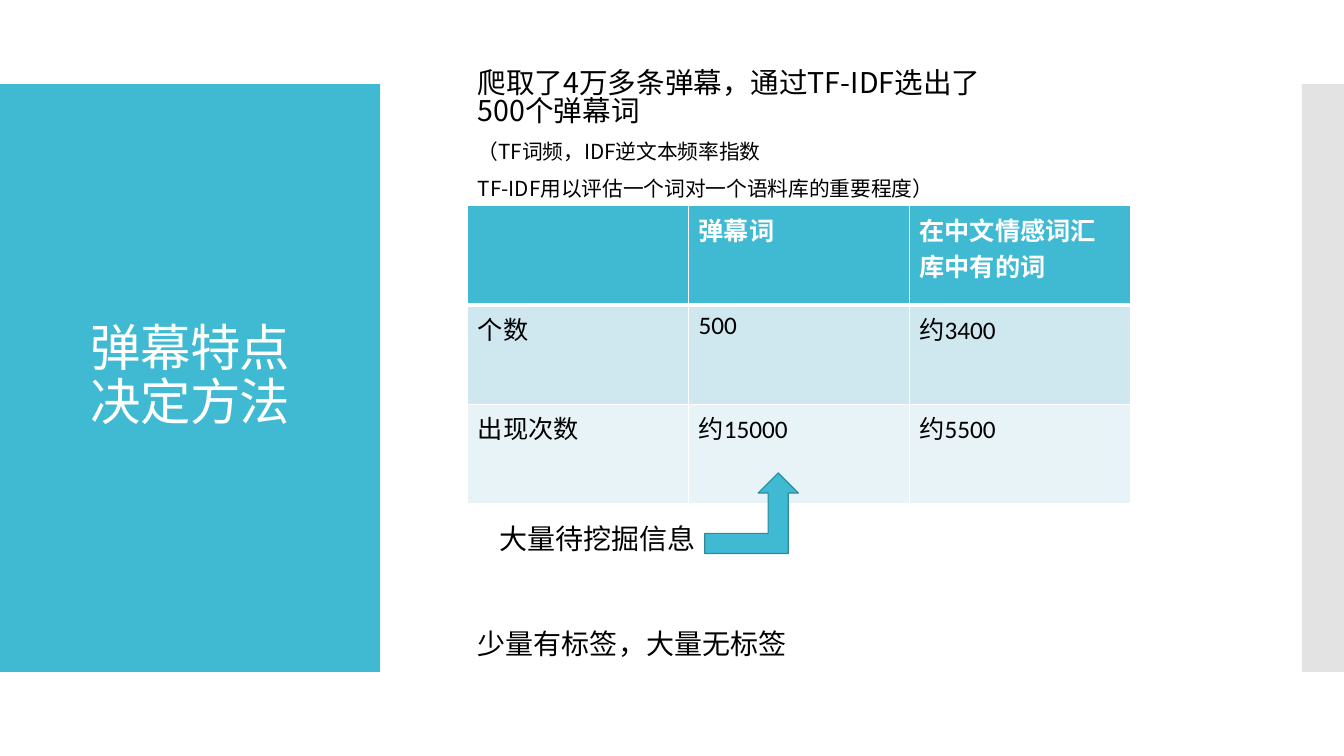
from dataclasses import dataclass

from lxml.etree import SubElement
from pptx import Presentation
from pptx.dml.color import RGBColor
from pptx.enum.shapes import MSO_SHAPE as Preset
from pptx.enum.text import MSO_ANCHOR as Anchor, PP_ALIGN as Align
from pptx.oxml.ns import qn
from pptx.util import Emu, Inches, Pt

WIDTH, HEIGHT = Inches(13.33), Inches(7.5)
COLUMNS, ROWS = 32, 18
CONTENT_LEFT = 11.14
BODY_WIDTH, BODY_HEIGHT = 12.65, 3.5

TEAL = RGBColor(0x40, 0xBA, 0xD2)
DARK_TEAL = RGBColor(0x2F, 0x8A, 0x9B)
PALE_TEAL = RGBColor(0xCF, 0xE7, 0xEE)
FAINT_TEAL = RGBColor(0xE8, 0xF3, 0xF7)
SILVER = RGBColor(0xC8, 0xC8, 0xC8)
WHITE = RGBColor(0xFF, 0xFF, 0xFF)
BLACK = RGBColor(0, 0, 0)
LATIN, HAN = "Calibri", "Noto Sans CJK SC"


@dataclass(frozen=True)
class Area:
    column: float
    row: float
    columns: float
    rows: float

    def box(self) -> tuple[Emu, Emu, Emu, Emu]:
        across, down = WIDTH / COLUMNS, HEIGHT / ROWS
        return (Emu(round(self.column * across)), Emu(round(self.row * down)),
                Emu(round(self.columns * across)), Emu(round(self.rows * down)))


@dataclass(frozen=True)
class Figure:
    area: Area
    preset: Preset
    fill: RGBColor
    outline: RGBColor | None = None
    opacity: int = 100


@dataclass(frozen=True)
class Line:
    text: str
    size: float
    font: str = HAN
    color: RGBColor = BLACK
    bold: bool = False
    tracking: int = 0


@dataclass(frozen=True)
class Passage:
    area: Area
    lines: tuple[Line, ...]
    align: Align = Align.LEFT
    anchor: Anchor = Anchor.MIDDLE
    spacing: float = 1
    before: float = 0
    bottom: float = 0.05


FIGURES = (
    Figure(Area(0, 2, 9.05, 14), Preset.RECTANGLE, TEAL),
    Figure(Area(31, 2, 1, 14), Preset.RECTANGLE, SILVER, opacity=50),
)
ARROW = Figure(Area(16.78, 11.26, 2.23, 1.92), Preset.BENT_UP_ARROW, TEAL, DARK_TEAL)

PASSAGES = (
    Passage(Area(0.67, 2.95, 7.73, 12.07),
            (Line("弹幕特点\n决定方法", 36, LATIN, WHITE, tracking=-60),),
            Align.CENTER, spacing=0.9),
    Passage(Area(CONTENT_LEFT, 2.28, BODY_WIDTH, BODY_HEIGHT),
            (Line("爬取了4万多条弹幕，通过TF-IDF选出了500个弹幕词", 20.4),
             Line("（TF词频，IDF逆文本频率指数", 14.8),
             Line("TF-IDF用以评估一个词对一个语料库的重要程度）", 14.8)),
            spacing=0.8, before=12, bottom=0.71),
    Passage(Area(CONTENT_LEFT, 13.97, BODY_WIDTH, BODY_HEIGHT),
            (Line("少量有标签，大量无标签", 20),),
            spacing=0.9, before=12, bottom=0.35),
    Passage(Area(6.74, 12.31, 14.98, 1.06), (Line("大量待挖掘信息", 20),),
            Align.CENTER, Anchor.TOP),
)

COUNTS_AREA = Area(CONTENT_LEFT, 4.9, 15.77, 7.1)
COUNTS = (
    ("", "弹幕词", "在中文情感词汇库中有的词"),
    ("个数", "500", "约3400"),
    ("出现次数", "约15000", "约5500"),
)
ROW_FILLS = (TEAL, PALE_TEAL, FAINT_TEAL)


def draw_figure(slide, figure: Figure) -> None:
    shape = slide.shapes.add_shape(figure.preset, *figure.area.box())
    shape.shadow.inherit = False
    shape.fill.solid()
    shape.fill.fore_color.rgb = figure.fill
    if figure.opacity < 100:
        color = shape._element.spPr.find(f"{qn('a:solidFill')}/{qn('a:srgbClr')}")
        SubElement(color, qn("a:alpha"), val=str(figure.opacity * 1000))
    if figure.outline is None:
        shape.line.fill.background()
    else:
        shape.line.color.rgb = figure.outline
        shape.line.width = Pt(0.85)


def write_line(paragraph, line: Line) -> None:
    for index, part in enumerate(line.text.split("\n")):
        if index:
            paragraph.add_line_break()
        run = paragraph.add_run()
        run.text = part
        run.font.size = Pt(line.size)
        run.font.name = line.font
        run.font.bold = line.bold
        run.font.color.rgb = line.color
        properties = run.font._element
        if line.font == HAN:
            SubElement(properties, qn("a:ea"), typeface=HAN)
        if line.tracking:
            properties.set("spc", str(line.tracking))


def draw_passage(slide, passage: Passage) -> None:
    frame = slide.shapes.add_textbox(*passage.area.box()).text_frame
    frame.word_wrap = True
    frame.vertical_anchor = passage.anchor
    frame.margin_bottom = Inches(passage.bottom)
    for index, line in enumerate(passage.lines):
        paragraph = frame.add_paragraph() if index else frame.paragraphs[0]
        paragraph.alignment = passage.align
        paragraph.line_spacing = passage.spacing
        paragraph.space_before = Pt(passage.before)
        write_line(paragraph, line)


def rule_cell(cell, row: int) -> None:
    widths = {"L": 1, "R": 1, "T": 3 if row == 1 else 1, "B": 3 if row == 0 else 1}
    properties = cell._tc.get_or_add_tcPr()
    for side, width in widths.items():
        border = SubElement(properties, qn(f"a:ln{side}"), w=str(Pt(width)))
        SubElement(SubElement(border, qn("a:solidFill")), qn("a:srgbClr"), val=str(WHITE))


def draw_counts(slide) -> None:
    table = slide.shapes.add_table(len(COUNTS), len(COUNTS[0]), *COUNTS_AREA.box()).table
    for row, (texts, fill) in enumerate(zip(COUNTS, ROW_FILLS)):
        header = row == 0
        for column, text in enumerate(texts):
            cell = table.cell(row, column)
            rule_cell(cell, row)
            cell.fill.solid()
            cell.fill.fore_color.rgb = fill
            if text:
                write_line(cell.text_frame.paragraphs[0],
                           Line(text, 18, LATIN, WHITE if header else BLACK, header))


def main() -> None:
    deck = Presentation()
    deck.slide_width, deck.slide_height = WIDTH, HEIGHT
    slide = deck.slides.add_slide(deck.slide_layouts[6])
    for figure in FIGURES:
        draw_figure(slide, figure)
    draw_counts(slide)
    for passage in PASSAGES:
        draw_passage(slide, passage)
    draw_figure(slide, ARROW)
    deck.save("out.pptx")


if __name__ == "__main__":
    main()
